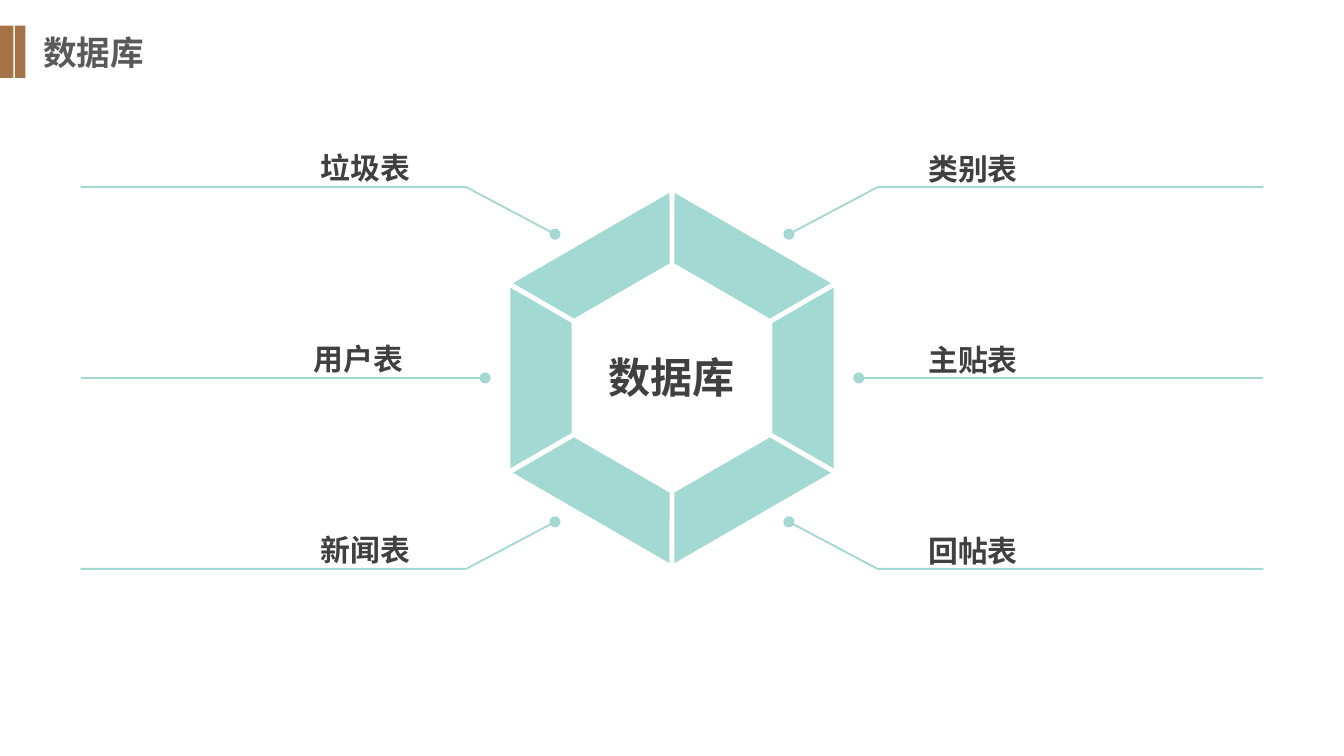
from math import cos, radians, sin

from pptx import Presentation
from pptx.dml.color import RGBColor
from pptx.enum.shapes import MSO_CONNECTOR, MSO_SHAPE
from pptx.enum.text import MSO_ANCHOR, MSO_AUTO_SIZE, PP_ALIGN
from pptx.oxml.ns import qn
from pptx.util import Inches, Pt
from lxml import etree

RECT, TRAPEZOID = MSO_SHAPE.RECTANGLE, MSO_SHAPE.TRAPEZOID
LEFT, CENTER, RIGHT = PP_ALIGN.LEFT, PP_ALIGN.CENTER, PP_ALIGN.RIGHT

# Content
TITLE = "数据库"
HUB = "数据库"
LEFT_LABELS = ["垃圾表", "用户表 ", "新闻表"]
RIGHT_LABELS = ["类别表", "主贴表", "回帖表"]

THEME = {
    "font": "Noto Sans CJK SC",
    "title": RGBColor(0x59, 0x59, 0x59), "text": RGBColor(0x40, 0x40, 0x40),
    "bar": RGBColor(0xA6, 0x73, 0x46), "mint": RGBColor(0xA2, 0xDA, 0xD3),
    "white": RGBColor(0xFF, 0xFF, 0xFF),
    "title_size": 18, "hub_size": 22.5, "label_size": 16,
}

# Layout, in inches, on a 16:9 slide
W = 10
H = W * 9 / 16
CX, CY = W / 2, H / 2
ROW_GAP = 1.42                      # between the three rows of labels
SIDE_W, SIDE_H, RADIUS = 1.37, 0.47, 0.975
REACH, BEND, TIP, MID_TIP = 4.4, 1.53, 0.87, 1.39   # distances from CX
DROP = 0.35                         # slant of the outer leaders
LABEL_W, LABEL_H = 2.51, 0.34


def write(sp, text, size, color, align, spacing=None):
    tf = sp.text_frame
    tf.word_wrap = True
    tf.auto_size = MSO_AUTO_SIZE.NONE
    tf.vertical_anchor = MSO_ANCHOR.MIDDLE
    p = tf.paragraphs[0]
    p.text = text
    p.alignment = align
    if spacing:
        p.line_spacing = spacing
    p.font.name, p.font.size, p.font.bold = THEME["font"], Pt(size), True
    p.font.color.rgb = color
    ea = etree.SubElement(p._p.pPr.find(qn("a:defRPr")), qn("a:ea"))
    ea.set("typeface", THEME["font"])


def add_label(slide, x, y, w, h, text, size, align):
    sp = slide.shapes.add_textbox(Inches(x), Inches(y), Inches(w), Inches(h))
    write(sp, text, size, THEME["text"], align, 0.9)


def add_block(slide, kind, x, y, w, h, color):
    sp = slide.shapes.add_shape(kind, Inches(x), Inches(y), Inches(w), Inches(h))
    sp.shadow.inherit = False
    sp.fill.solid()
    sp.fill.fore_color.rgb = color
    sp.line.fill.background()
    return sp


def add_leader(slide, points):
    """Line through the points, with a dot at the last one."""
    pts = [(Inches(x), Inches(y)) for x, y in points]
    if len(pts) == 2:
        sp = slide.shapes.add_connector(MSO_CONNECTOR.STRAIGHT, *pts[0], *pts[1])
    else:
        builder = slide.shapes.build_freeform(*pts[0])
        builder.add_line_segments(pts[1:], close=False)
        sp = builder.convert_to_shape()
        sp.fill.background()
    sp.line.color.rgb = THEME["mint"]
    sp.line.width = Pt(1)
    etree.SubElement(sp.line._get_or_add_ln(), qn("a:tailEnd")).set("type", "oval")
    etree.SubElement(sp._element.spPr, qn("a:effectLst"))


def main():
    prs = Presentation()
    prs.slide_width, prs.slide_height = Inches(W), Inches(H)
    slide = prs.slides.add_slide(prs.slide_layouts[5])

    # Title and its two bars
    sp = slide.shapes.title
    sp.left, sp.top, sp.width, sp.height = map(Inches, (0.22, 0.19, 2.47, 0.4))
    write(sp, TITLE, THEME["title_size"], THEME["title"], LEFT)
    for x, w in ((0, 0.1), (0.11, 0.08)):
        add_block(slide, RECT, x, 0.19, w, 0.39, THEME["bar"])

    # Hexagon ring: six trapezoids turned about the centre
    for angle in range(30, 390, 60):
        x = CX - RADIUS * sin(radians(angle))
        y = CY + RADIUS * cos(radians(angle))
        sp = add_block(slide, TRAPEZOID, x - SIDE_W / 2, y - SIDE_H / 2,
                       SIDE_W, SIDE_H, THEME["mint"])
        sp.adjustments[0] = 0.576
        sp.rotation = angle
        sp.line.color.rgb = THEME["white"]
        sp.line.width = Pt(1)

    # Leaders and labels, mirrored about the centre
    sides = ((-1, LEFT_LABELS, 0.64, RIGHT, 0.3),
             (1, RIGHT_LABELS, 6.81, LEFT, 0.29))
    for side, labels, label_x, align, rise in sides:
        for row, text in zip((-1, 0, 1), labels):
            y = CY + row * ROW_GAP
            start = (CX + side * REACH, y)
            if row:
                add_leader(slide, [start, (CX + side * BEND, y),
                                   (CX + side * TIP, y - row * DROP)])
            else:
                add_leader(slide, [start, (CX + side * MID_TIP, y)])
            add_label(slide, label_x, y - rise, LABEL_W, LABEL_H,
                      text, THEME["label_size"], align)

    # Hub
    add_label(slide, 4.26, 2.61, 1.47, 0.44, HUB, THEME["hub_size"], CENTER)
    prs.save("out.pptx")


if __name__ == "__main__":
    main()
